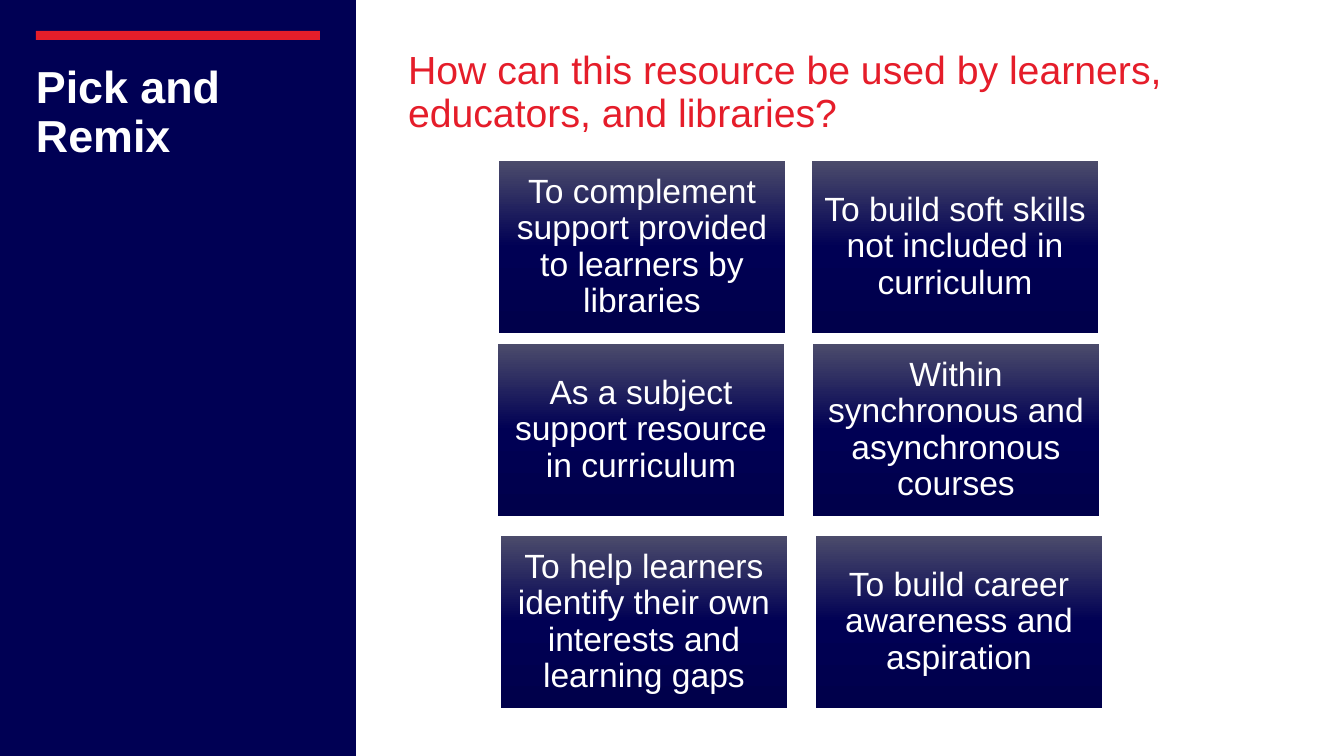
"""Build the Pick and Remix slide with its six gradient cards."""
from pptx import Presentation
from pptx.dml.color import RGBColor
from pptx.enum.shapes import MSO_SHAPE
from pptx.enum.text import MSO_ANCHOR, PP_ALIGN
from pptx.oxml import parse_xml
from pptx.oxml.ns import nsdecls
from pptx.util import Pt

PX = 914400 / 134.4
COLORS = {"navy": "000054", "red": "E61E2A", "heading": "E51D2A", "white": "FFFFFF",
          "card_top": "4B4B6B", "card_end": "00004B"}


def add_rect(s, x, y, w, h, fill=None):
    sp = s.shapes.add_shape(MSO_SHAPE.RECTANGLE, *(round(v * PX) for v in (x, y, w, h)))
    sp.shadow.inherit = False
    sp.line.fill.background()
    if fill:
        sp.fill.solid()
        sp.fill.fore_color.rgb = RGBColor.from_string(COLORS[fill])
    return sp


def set_text(sp, text, size, color="white", bold=False, align=PP_ALIGN.LEFT,
             anchor=MSO_ANCHOR.TOP, insets=(13, 7, 13, 7)):
    tf = sp.text_frame
    tf.word_wrap = True
    tf.vertical_anchor = anchor
    tf.margin_left, tf.margin_top, tf.margin_right, tf.margin_bottom = (
        round(v * PX) for v in insets)
    p = tf.paragraphs[0]
    p.alignment = align
    p.line_spacing = 0.9
    r = p.add_run()
    r.text = text
    r.font.name = "Arial"
    r.font.size = Pt(size)
    r.font.bold = bold
    r.font.color.rgb = RGBColor.from_string(COLORS[color])


prs = Presentation()
prs.slide_width, prs.slide_height = round(1344 * PX), round(756 * PX)
s = prs.slides.add_slide(prs.slide_layouts[6])

add_rect(s, 0, 0, 356, 756, "navy")
add_rect(s, 36, 31, 284, 9, "red")

title = s.shapes.add_textbox(*(round(v * PX) for v in (36, 58, 222, 125)))
set_text(title, "Pick and Remix", 24, bold=True, insets=(0, 7, 13, 7))

cards = [
    (499, 161, "To complement support provided to learners by libraries"),
    (812, 161, "To build soft skills not included in curriculum"),
    (498, 344, "As a subject support resource in curriculum"),
    (813, 344, "Within synchronous and asynchronous courses"),
    (501, 536, "To help learners identify their own interests and learning gaps"),
    (816, 536, "To build career awareness and aspiration"),
]
stops = "".join(
    f'<a:gs pos="{pos * 1000}"><a:srgbClr val="{COLORS[name]}"/></a:gs>'
    for pos, name in ((0, "card_top"), (50, "navy"), (100, "card_end")))
gradient = (f'<a:gradFill {nsdecls("a")} rotWithShape="1"><a:gsLst>{stops}</a:gsLst>'
            '<a:lin ang="5400000" scaled="0"/></a:gradFill>')

for x, y, text in cards:
    sp = add_rect(s, x, y, 286, 172)
    sp.element.spPr.insert(2, parse_xml(gradient))
    set_text(sp, text, 18, align=PP_ALIGN.CENTER, anchor=MSO_ANCHOR.MIDDLE,
             insets=(9, 9, 9, 9))

heading = add_rect(s, 395, 44, 909, 99, "white")
set_text(heading, "How can this resource be used by learners, educators, and libraries?",
         21, color="heading")

prs.save("out.pptx")
